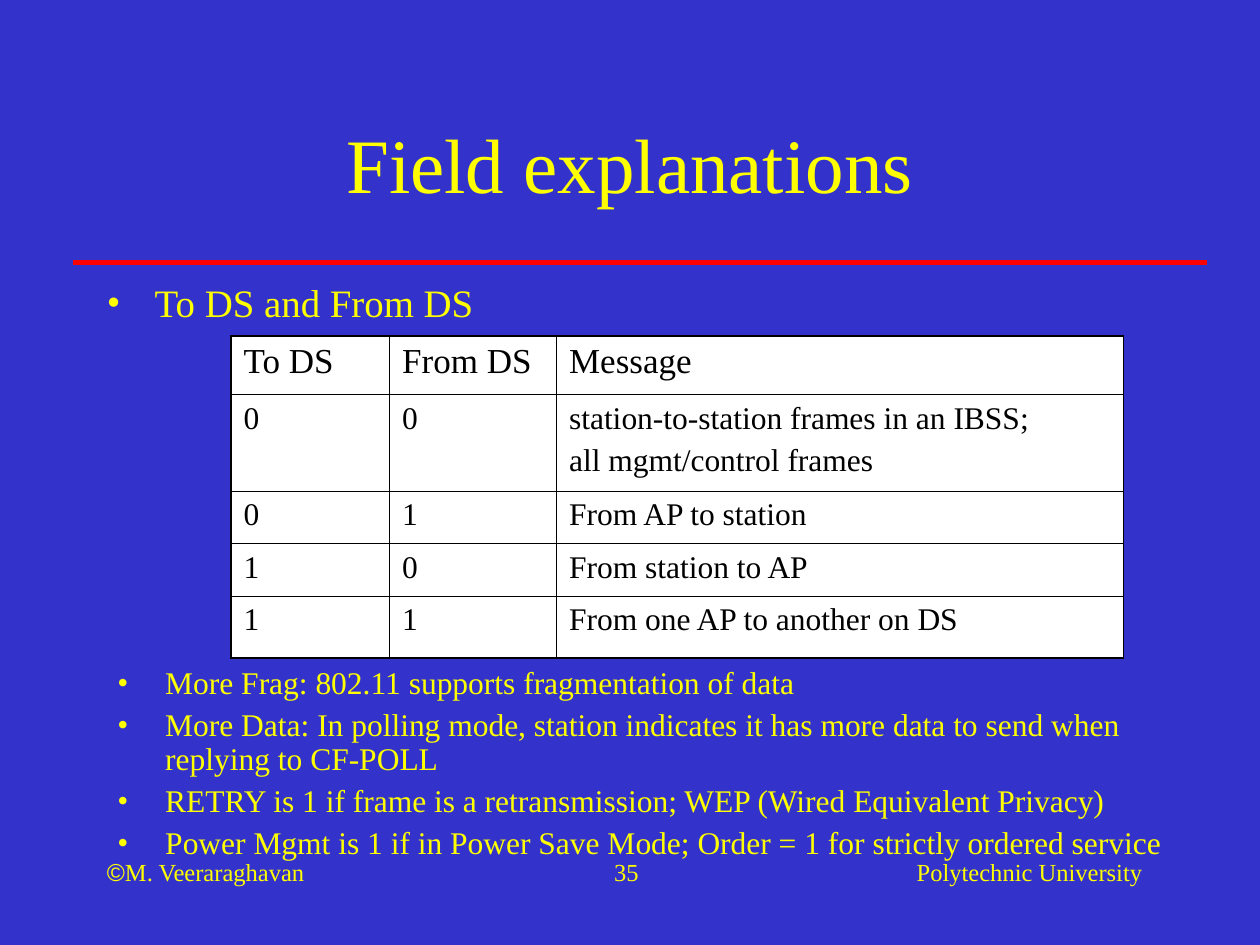
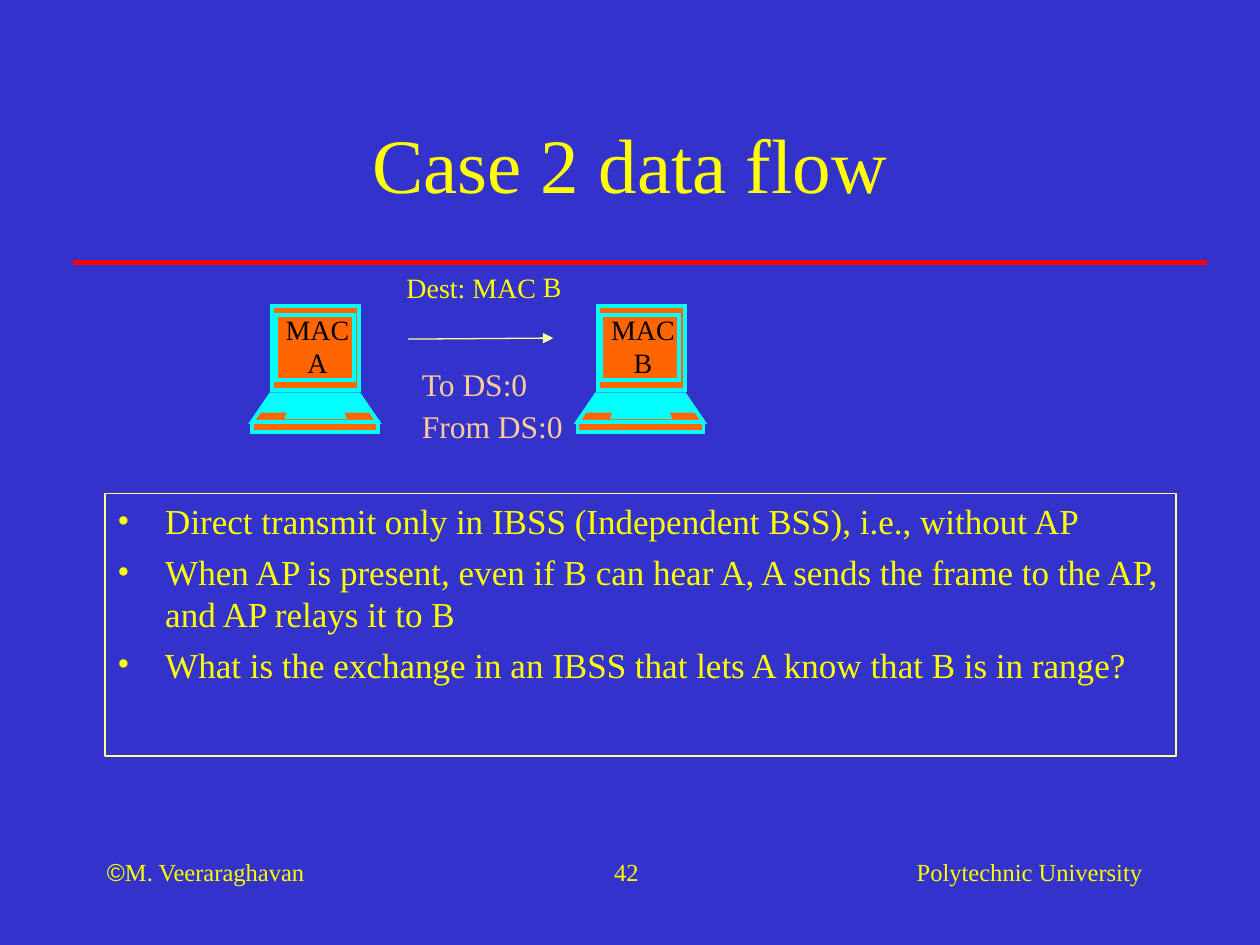
from lxml import etree
from pptx import Presentation
from pptx.dml.color import RGBColor
from pptx.enum.shapes import MSO_CONNECTOR
from pptx.enum.text import MSO_ANCHOR, MSO_AUTO_SIZE, PP_ALIGN
from pptx.oxml.ns import qn
from pptx.util import Inches, Pt

LEFT, MID, RIGHT = PP_ALIGN.LEFT, PP_ALIGN.CENTER, PP_ALIGN.RIGHT
TOP, CENTRE = MSO_ANCHOR.TOP, MSO_ANCHOR.MIDDLE
GROW = MSO_AUTO_SIZE.SHAPE_TO_FIT_TEXT
STRAIGHT = MSO_CONNECTOR.STRAIGHT

SERIF, SANS = "Times New Roman", "Arial"
BLUE, YELLOW, RED, BLACK, WHITE = "3333CC", "FFFF00", "FF0000", "000000", "FFFFFF"
CREAM, PEACH, ORANGE, CYAN = "FFFF99", "FFCC99", "FF6600", "00FFFF"

COLS, ROWS = 120, 90
UNIT = Inches(10) / COLS
THICK, THIN = 1.08, 0.45

FLAGS = [
    ["To DS", "From DS", "Message"],
    ["0", "0", "station-to-station frames in an IBSS;\nall mgmt/control frames"],
    ["0", "1", "From AP to station"],
    ["1", "0", "From station to AP"],
    ["1", "1", "From one AP to another on DS"],
]
FIELDS = [
    "More Frag: 802.11 supports fragmentation of data",
    "More Data: In polling mode, station indicates it has more data to send "
    "when replying to CF-POLL",
    "RETRY is 1 if frame is a retransmission; WEP (Wired Equivalent Privacy)",
    "Power Mgmt is 1 if in Power Save Mode; Order = 1 for strictly ordered service",
]
NOTES = [
    "Direct transmit only in IBSS (Independent BSS), i.e., without AP",
    "When AP is present, even if B can hear A, A sends the frame to the AP, "
    "and AP relays it to B",
    "What is the exchange in an IBSS that lets A know that B is in range?",
]
SHELL = [
    (0.16, 0.85, 0, 0.16, 0.85, 0.67),
    (0.15, 0.85, 0.7, 0, 1, 0.92),
    (0, 1, 0.92, 0, 1, 1),
]
PARTS = [
    (0.19, 0.81, 0.07, 0.19, 0.81, 0.59),
    (0.15, 0.85, 0.72, 0.14, 0.87, 0.75),
    (0.29, 0.72, 0.85, 0.28, 0.73, 0.88),
    (0.13, 0.87, 0.76, 0.11, 0.89, 0.79),
    (0.11, 0.9, 0.81, 0.09, 0.92, 0.83),
]


def rgb(code):
    """Turn a hex string into a colour."""
    return RGBColor.from_string(code)


def grid(*cells):
    """Turn grid units into lengths."""
    return [round(cell * UNIT) for cell in cells]


def style(font, size, color, face=SERIF):
    """Set size, colour and face of a font."""
    font.size, font.name = Pt(size), face
    font.color.rgb = rgb(color)


def dot(para):
    """Give a paragraph a hanging yellow bullet."""
    props = para._p.get_or_add_pPr()
    props.set("marL", str(Inches(0.38)))
    props.set("indent", str(-Inches(0.38)))
    tint = etree.SubElement(props, qn("a:buClr"))
    etree.SubElement(tint, qn("a:srgbClr"), val=YELLOW)
    etree.SubElement(props, qn("a:buFont"), typeface=SERIF)
    etree.SubElement(props, qn("a:buChar"), char="•")


def fill_text(frame, lines, size, color=YELLOW, align=LEFT, gap=0, lead=None, dots=False):
    """Write lines as paragraphs of one look."""
    for i, line in enumerate(lines):
        para = frame.paragraphs[0] if i == 0 else frame.add_paragraph()
        para.add_run().text = line
        if dots:
            dot(para)
        para.alignment = align
        if lead:
            para.line_spacing = lead
        if i and gap:
            para.space_before = Pt(gap)
        style(para.font, size, color)


def label(slide, box, lines, size, wrap=True, anchor=TOP, **look):
    """Place a text box and return it."""
    shape = slide.shapes.add_textbox(*grid(*box))
    frame = shape.text_frame
    frame.word_wrap = wrap
    frame.vertical_anchor = anchor
    if not wrap:
        frame.auto_size = GROW
    fill_text(frame, lines, size, **look)
    return shape


def rule(slide, ends, color, width, arrow=False):
    """Draw a straight line, with an arrowhead if asked."""
    line = slide.shapes.add_connector(STRAIGHT, *grid(*ends))
    line.line.color.rgb = rgb(color)
    line.line.width = Pt(width)
    if arrow:
        etree.SubElement(line.line._get_or_add_ln(), qn("a:tailEnd"), type="triangle")
    etree.SubElement(line._element.spPr, qn("a:effectLst"))


def footer(slide, box, number):
    """Place the owner, page number and school in a strip."""
    x, y, w, h = box
    owner = label(slide, (x, y, 23, h), ["©"], 14)
    para = owner.text_frame.paragraphs[0]
    para.add_run().text = "M. Veeraraghavan"
    for run, face in zip(para.runs, (SANS, SERIF)):
        style(run.font, 14, YELLOW, face)
    label(slide, (x + 42, y, 11, h), [str(number)], 14, align=RIGHT)
    label(slide, (x + w - 29, y, 29, h), ["Polytechnic University"], 14, align=RIGHT)


def base(deck, title, number):
    """Add a slide with the shared ground, title, rule and footer."""
    slide = deck.slides.add_slide(deck.slide_layouts[6])
    slide.background.fill.solid()
    slide.background.fill.fore_color.rgb = rgb(BLUE)
    rule(slide, (7, 25, 115, 25), RED, 3)
    label(slide, (9, 8, 102, 15), [title], 44, anchor=CENTRE, align=MID)
    footer(slide, (9, 81, 101, 6), number)
    return slide


def edge(cell, side, width):
    """Draw one black border of a cell."""
    line = etree.SubElement(cell._tc.get_or_add_tcPr(), qn("a:ln" + side), w=str(Pt(width)))
    paint = etree.SubElement(line, qn("a:solidFill"))
    etree.SubElement(paint, qn("a:srgbClr"), val=BLACK)


def flag_table(slide, box, data, widths, heights):
    """Place the table of DS flags with a thick outer frame."""
    table = slide.shapes.add_table(len(data), len(widths), *grid(*box)).table
    table.first_row = table.horz_banding = False
    for col, width in zip(table.columns, grid(*widths)):
        col.width = width
    for row, height in zip(table.rows, grid(*heights)):
        row.height = height
    for r, texts in enumerate(data):
        for c, text in enumerate(texts):
            cell = table.cell(r, c)
            outer = {"L": c == 0, "R": c == len(widths) - 1,
                     "T": r == 0, "B": r == len(data) - 1}
            for side, thick in outer.items():
                edge(cell, side, THICK if thick else THIN)
            cell.fill.solid()
            cell.fill.fore_color.rgb = rgb(WHITE)
            size = 18 if r else 20
            fill_text(cell.text_frame, text.split("\n"), size, BLACK, gap=4.5)


def laptop(slide, box, name):
    """Draw a laptop with its address on the screen."""
    x, y, w, h = box
    for group in (SHELL, PARTS):
        pen = None
        for a, b, top, c, d, low in group:
            shares = [(a, top), (b, top), (d, low), (c, low)]
            points = [grid(x + w * u, y + h * v) for u, v in shares]
            if pen is None:
                pen = slide.shapes.build_freeform(*points[0])
            else:
                pen.move_to(*points[0])
            pen.add_line_segments(points[1:], close=True)
        shape = pen.convert_to_shape()
        shape.shadow.inherit = False
        shape.fill.solid()
        shape.fill.fore_color.rgb = rgb(ORANGE)
        shape.line.color.rgb = rgb(CYAN)
        shape.line.width = Pt(2.25)
        etree.SubElement(shape.line._get_or_add_ln(), qn("a:miter"), lim="800000")
    label(slide, (x + w * 0.07, y, w * 0.9, h * 0.64), ["MAC", name], 16,
          color=BLACK, align=MID)


def flow(slide, box):
    """Place two laptops and the labelled frame sent between them."""
    x, y, w, h = box
    for left, name in ((x, "A"), (x + w - h, "B")):
        laptop(slide, (left, y, h, h), name)
    rule(slide, (x + 14.9, y + 3.15, x + 28.7, y + 3.05), CREAM, 0.75, arrow=True)
    dest = label(slide, (x + 12, y - 4, 20.2, 4.4), ["Dest: MAC B"], 16, align=MID)
    dest.rotation = -0.2
    for i, text in enumerate(("To DS:0", "From DS:0")):
        label(slide, (x + 15, y + 5 + 4 * i, 12.6 + 3.2 * i, 4.8), [text], 18,
              wrap=False, color=PEACH)


def field_slide(deck):
    """Build the slide on frame fields."""
    slide = base(deck, "Field explanations", 35)
    label(slide, (9, 26, 102, 6), ["To DS and From DS"], 22.2, dots=True)
    flag_table(slide, (22, 32, 85, 30.7), FLAGS, (15.1, 15.9, 54), (5.6, 9.2, 5, 5, 5.9))
    label(slide, (10, 63, 102, 18), FIELDS, 18, gap=4.5, lead=0.9, dots=True)


def flow_slide(deck):
    """Build the slide on direct data flow."""
    slide = base(deck, "Case 2 data flow", 42)
    notes = label(slide, (10, 47, 102, 25), NOTES, 20, gap=5, dots=True)
    notes.line.color.rgb = rgb(CREAM)
    notes.line.width = Pt(0.75)
    flow(slide, (24, 29.15, 43, 12))


def main():
    """Build and save the deck."""
    deck = Presentation()
    deck.slide_width, deck.slide_height = grid(COLS, ROWS)
    field_slide(deck)
    flow_slide(deck)
    deck.save("out.pptx")


if __name__ == "__main__":
    main()
